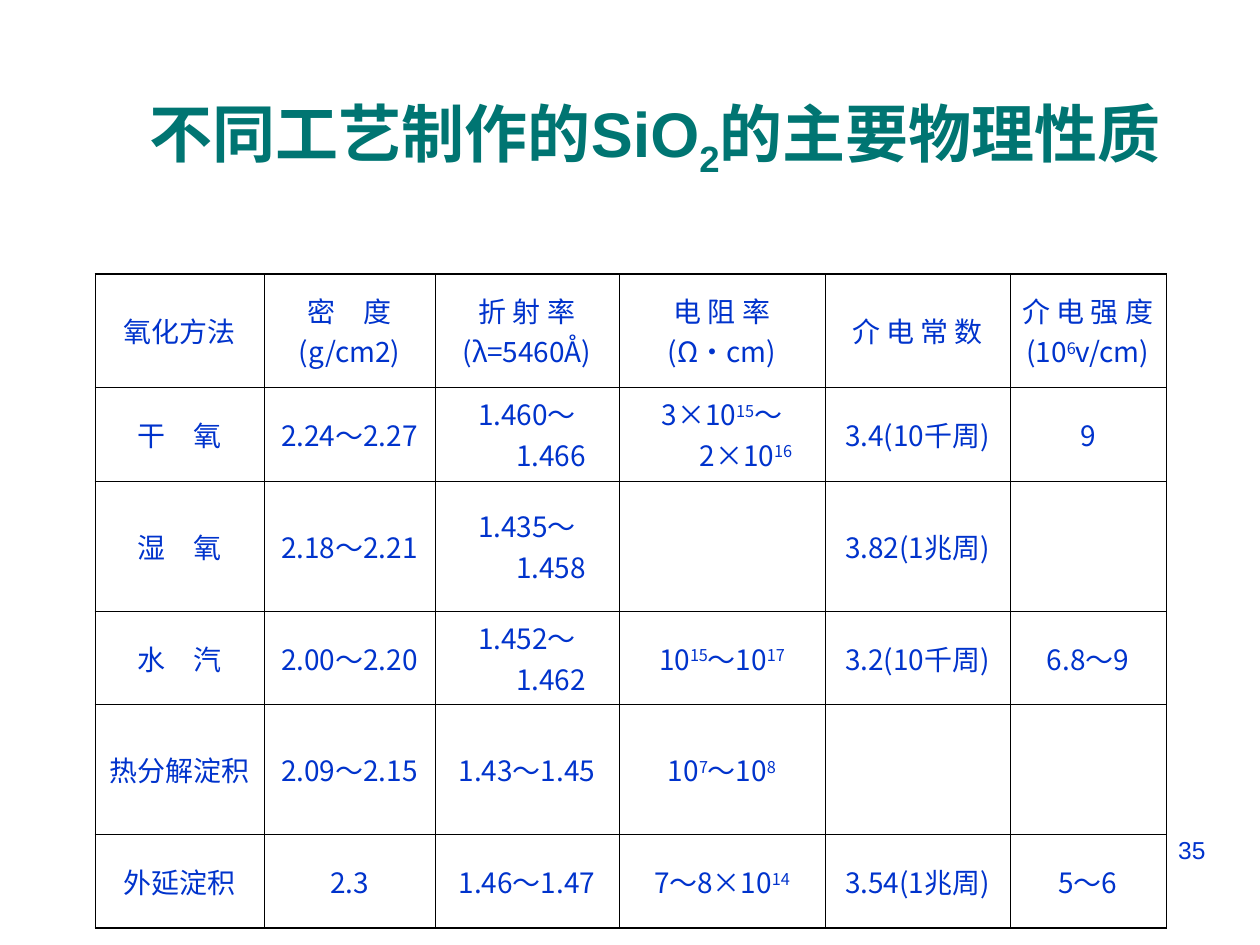
from typing import NamedTuple

from lxml import etree
from pptx import Presentation
from pptx.dml.color import RGBColor
from pptx.enum.text import MSO_ANCHOR, MSO_AUTO_SIZE, PP_ALIGN
from pptx.oxml.ns import qn
from pptx.util import Emu, Pt

CENTER, RIGHT = PP_ALIGN.CENTER, PP_ALIGN.RIGHT
MIDDLE, TOP = MSO_ANCHOR.MIDDLE, MSO_ANCHOR.TOP
NO_AUTOFIT = MSO_AUTO_SIZE.NONE

PX = 914400 // 126
COLORS = {"title": "007572", "text": "0033CC", "border": "000000"}
LATIN_FONT, CJK_FONT = "Arial", "Noto Sans CJK SC"
TITLE_LAYOUT = 5
INDENT = 48
THIN, EDGE, THICK = 0.45, 0.34, 0.96


class Box(NamedTuple):
    left: int
    top: int
    width: int
    height: int


class Style(NamedTuple):
    size: int
    font: str
    color: str
    bold: bool = False
    baseline: int = 0


TITLE_BOX = Box(95, 29, 1138, 202)
TABLE_BOX = Box(95, 274, 1071, 654)
NUMBER_BOX = Box(903, 829, 315, 66)

TITLE_STYLE = Style(36, LATIN_FONT, "title", True)
CELL_STYLE = Style(16, CJK_FONT, "text")
NUMBER_STYLE = Style(14, LATIN_FONT, "text")

COLUMN_WIDTHS = [169, 171, 184, 206, 185, 156]
ROW_HEIGHTS = [113, 94, 130, 94, 130, 93]

# A line break starts a new paragraph; ^...^ encloses a superscript
ROWS = [
    ["氧化方法", "密　度\n(g/cm2)", "折 射 率\n(λ=5460Å)", "电 阻 率\n(Ω·cm)",
     "介 电 常 数", "介 电 强 度\n(10^6^v/cm)"],
    ["干　氧", "2.24～2.27", "1.460～1.466", "3×10^15^～2×10^16^", "3.4(10千周)", "9"],
    ["湿　氧", "2.18～2.21", "1.435～1.458", "", "3.82(1兆周)", ""],
    ["水　汽", "2.00～2.20", "1.452～1.462", "10^15^～10^17^", "3.2(10千周)", "6.8～9"],
    ["热分解淀积", "2.09～2.15", "1.43～1.45", "10^7^～10^8^", "", ""],
    ["外延淀积", "2.3", "1.46～1.47", "7～8×10^14^", "3.54(1兆周)", "5～6"],
]


def px(length: int) -> Emu:
    return Emu(length * PX)


def place(box: Box) -> list[Emu]:
    return [px(length) for length in box]


def add_run(paragraph, text: str, style: Style) -> None:
    run = paragraph.add_run()
    run.text = text
    run.font.size = Pt(style.size)
    run.font.bold = style.bold
    run.font.name = style.font
    run.font.color.rgb = RGBColor.from_string(COLORS[style.color])
    properties = run.font._element
    etree.SubElement(properties, qn("a:ea")).set("typeface", CJK_FONT)
    if style.baseline:
        properties.set("baseline", str(style.baseline * 1000))


def add_title(slide) -> None:
    title = slide.shapes.title
    title.left, title.top, title.width, title.height = place(TITLE_BOX)
    frame = title.text_frame
    frame.auto_size = NO_AUTOFIT
    frame.vertical_anchor = MIDDLE
    paragraph = frame.paragraphs[0]
    paragraph.alignment = CENTER
    paragraph.line_spacing = 1.0
    add_run(paragraph, "不同工艺制作的SiO", TITLE_STYLE)
    add_run(paragraph, "2", TITLE_STYLE._replace(baseline=-25))
    add_run(paragraph, "的主要物理性质", TITLE_STYLE)
    add_run(paragraph, " ", TITLE_STYLE._replace(size=44, bold=False))


def set_border(cell, side: str, width: float) -> None:
    line = etree.SubElement(cell._tc.get_or_add_tcPr(), qn(f"a:ln{side}"))
    line.set("w", str(Pt(width)))
    fill = etree.SubElement(line, qn("a:solidFill"))
    etree.SubElement(fill, qn("a:srgbClr")).set("val", COLORS["border"])


def fill_cell(cell, text: str) -> None:
    cell.vertical_anchor = MIDDLE
    cell.margin_left = cell.margin_right = Pt(7.2)
    cell.margin_top = cell.margin_bottom = Pt(3.6)
    for index, line in enumerate(text.split("\n")):
        frame = cell.text_frame
        paragraph = frame.add_paragraph() if index else frame.paragraphs[0]
        paragraph.alignment = CENTER
        properties = paragraph._p.get_or_add_pPr()
        properties.set("marL", str(px(INDENT)))
        properties.set("indent", str(px(-INDENT)))
        for position, part in enumerate(line.split("^")):
            if part:
                baseline = 30 if position % 2 else 0
                add_run(paragraph, part, CELL_STYLE._replace(baseline=baseline))


def add_property_table(slide) -> None:
    last_row, last_column = len(ROWS) - 1, len(COLUMN_WIDTHS) - 1
    table = slide.shapes.add_table(
        len(ROWS), len(COLUMN_WIDTHS), *place(TABLE_BOX)).table
    table.first_row = table.horz_banding = False
    for column, width in zip(table.columns, COLUMN_WIDTHS):
        column.width = px(width)
    for row, height in zip(table.rows, ROW_HEIGHTS):
        row.height = px(height)
    for r, texts in enumerate(ROWS):
        for c, text in enumerate(texts):
            cell = table.cell(r, c)
            fill_cell(cell, text)
            set_border(cell, "L", EDGE if c == 0 else THIN)
            set_border(cell, "R", EDGE if c == last_column else THIN)
            set_border(cell, "T", THICK if r == 0 else THIN)
            set_border(cell, "B", THICK if r == last_row else THIN)
            cell.fill.background()


def add_page_number(slide) -> None:
    frame = slide.shapes.add_textbox(*place(NUMBER_BOX)).text_frame
    frame.word_wrap = True
    frame.vertical_anchor = TOP
    paragraph = frame.paragraphs[0]
    paragraph.alignment = RIGHT
    add_run(paragraph, "35", NUMBER_STYLE)


def main() -> None:
    presentation = Presentation()
    presentation.slide_width, presentation.slide_height = px(1260), px(945)
    slide = presentation.slides.add_slide(presentation.slide_layouts[TITLE_LAYOUT])
    add_title(slide)
    add_property_table(slide)
    add_page_number(slide)
    presentation.save("out.pptx")


if __name__ == "__main__":
    main()
